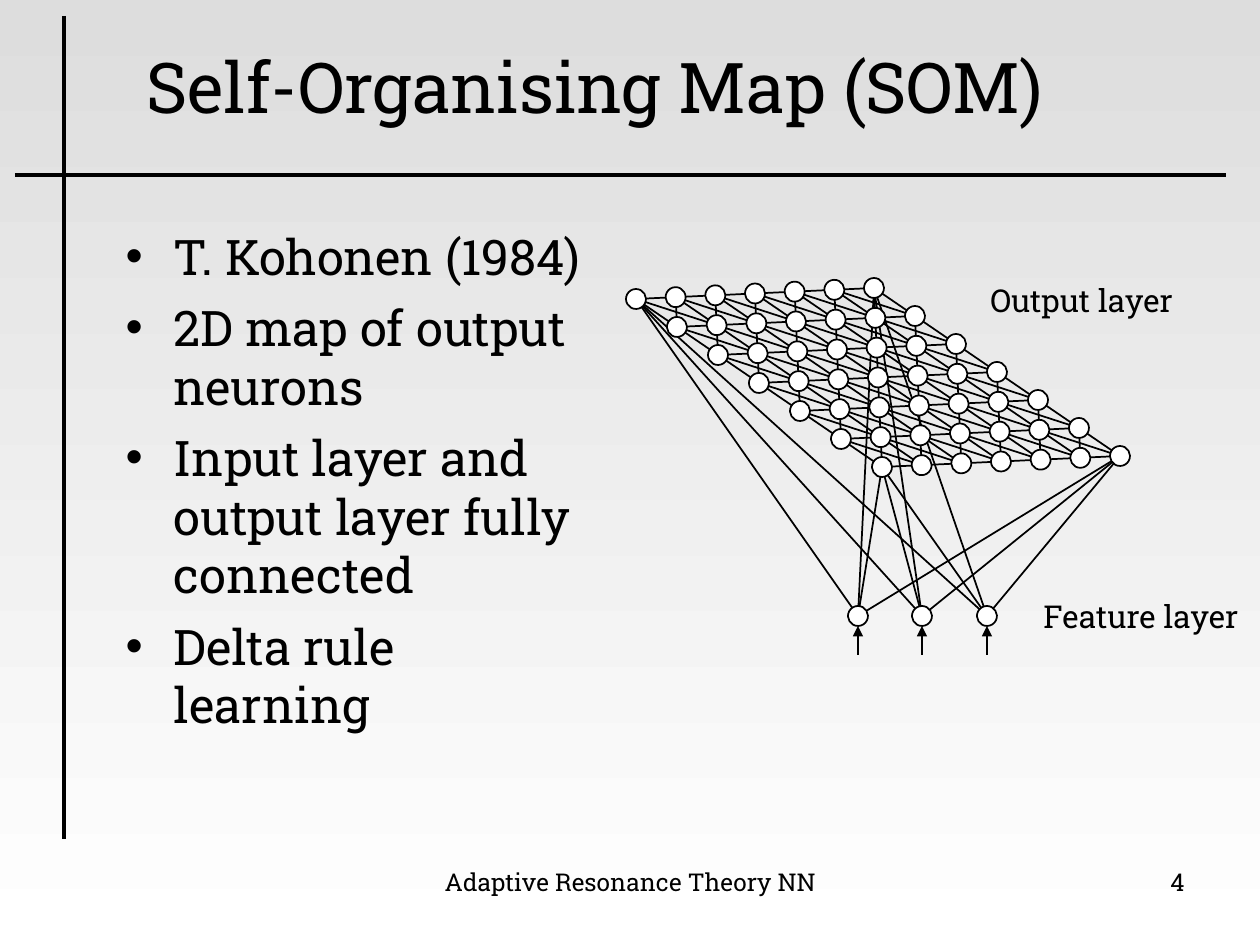
from dataclasses import dataclass
from itertools import product

from lxml.etree import SubElement
from pptx import Presentation
from pptx.dml.color import RGBColor
from pptx.enum.shapes import MSO_CONNECTOR as Connector, MSO_SHAPE as Shape
from pptx.enum.text import MSO_ANCHOR as Anchor, MSO_AUTO_SIZE as AutoSize, PP_ALIGN as Align
from pptx.oxml.ns import qn
from pptx.util import Emu, Pt


@dataclass(frozen=True)
class Theme:
    font: str = "Roboto Slab"
    ink: str = "000000"
    paper: str = "FFFFFF"
    shade: str = "DDDDDD"
    title: int = 40
    body: int = 28
    label: int = 18
    footer: int = 14
    rule: float = 2.25
    link: float = 1
    arrow: float = 0.75


THEME = Theme()
TITLE = ("Self-Organising Map (SOM)", (134, 37, 1091, 97))
BULLETS = [
    "T. Kohonen (1984)",
    "2D map of output neurons",
    "Input layer and output layer fully connected",
    "Delta rule learning",
]
BULLET_BOX = (113, 220, 496, 624)
BULLET_INDENT = 48
LABELS = [
    ("Adaptive Resonance Theory NN", (431, 861, 399, 66), THEME.footer, Align.CENTER, True),
    ("4", (903, 861, 294, 66), THEME.footer, Align.RIGHT, True),
    ("Output layer", (978, 275, 222, 50), THEME.label, Align.LEFT, False),
    ("Feature layer", (1031, 591, 228, 50), THEME.label, Align.LEFT, False),
]
RULES = [((15, 175), (1226, 175)), ((64, 16), (64, 839))]
LAST = 6
MAP_ORIGIN, MAP_END_OF_ROW, MAP_END_OF_COLUMN = (636, 299), (874, 288), (882, 467)
FEATURES = [(858, 616), (922, 616), (987, 616)]
NODE_SIZE = 20
NODE_TILT = 357.5
ARROW_START, ARROW_END = 655, 626


def px(value):
    return Emu(round(value * 914400 / 126))


def color(value):
    return RGBColor.from_string(value)


def place(shape, box):
    shape.left, shape.top, shape.width, shape.height = map(px, box)


def style(paragraph, size):
    for run in paragraph.runs:
        run.font.size = Pt(size)
        run.font.name = THEME.font
        run.font.color.rgb = color(THEME.ink)


def add_line(shapes, start, end, width, arrow=False):
    line = shapes.add_connector(Connector.STRAIGHT, *map(px, (*start, *end)))
    line.line.color.rgb = color(THEME.ink)
    line.line.width = Pt(width)
    if arrow:
        SubElement(line.line._get_or_add_ln(), qn("a:tailEnd"), type="triangle")
    SubElement(line._element.spPr, qn("a:effectLst"))


def add_node(shapes, center):
    x, y = center
    corner = (x - NODE_SIZE / 2, y - NODE_SIZE / 2)
    node = shapes.add_shape(Shape.OVAL, *map(px, (*corner, NODE_SIZE, NODE_SIZE)))
    node.rotation = NODE_TILT
    node.shadow.inherit = False
    node.fill.solid()
    node.fill.fore_color.rgb = color(THEME.paper)
    node.line.color.rgb = color(THEME.ink)
    node.line.width = Pt(THEME.link)


def map_point(row, column):
    return tuple(
        origin + (right - origin) * column / LAST + (down - origin) * row / LAST
        for origin, right, down in zip(MAP_ORIGIN, MAP_END_OF_ROW, MAP_END_OF_COLUMN)
    )


def map_links():
    for i in range(LAST + 1):
        yield (0, i), (LAST, i)
        yield (i, 0), (i, LAST)
    for total in range(1, 2 * LAST):
        low, high = max(0, total - LAST), min(total, LAST)
        yield (low, high), (high, low)
    for offset in range(LAST):
        yield (0, offset), (LAST - offset, LAST)
        if offset:
            yield (offset, 0), (LAST, LAST - offset)


def add_background(slide):
    fill = slide.background.fill
    fill.gradient()
    fill.gradient_angle = 270
    for stop, value in zip(fill.gradient_stops, (THEME.shade, THEME.paper)):
        stop.color.rgb = color(value)


def add_title(slide):
    text, box = TITLE
    title = slide.shapes.title
    place(title, box)
    frame = title.text_frame
    frame.text = text
    frame.auto_size = AutoSize.NONE
    frame.vertical_anchor = Anchor.MIDDLE
    frame.paragraphs[0].alignment = Align.LEFT
    style(frame.paragraphs[0], THEME.title)


def add_bullets(slide):
    body = slide.placeholders[1]
    place(body, BULLET_BOX)
    frame = body.text_frame
    frame.text = "\n".join(BULLETS)
    frame.auto_size = AutoSize.NONE
    for index, paragraph in enumerate(frame.paragraphs):
        paragraph.space_before = Pt(7 if index else 0)
        properties = paragraph._p.get_or_add_pPr()
        properties.set("marL", str(px(BULLET_INDENT)))
        properties.set("indent", str(px(-BULLET_INDENT)))
        bullet_color = SubElement(properties, qn("a:buClr"))
        SubElement(bullet_color, qn("a:srgbClr"), val=THEME.ink)
        SubElement(properties, qn("a:buChar"), char="•")
        style(paragraph, THEME.body)


def add_network(slide):
    corners = [map_point(*corner) for corner in product((0, LAST), repeat=2)]
    for corner, feature in product(corners, FEATURES):
        add_line(slide.shapes, corner, feature, THEME.link)
    output_map = slide.shapes.add_group_shape().shapes
    for start, end in map_links():
        add_line(output_map, map_point(*start), map_point(*end), THEME.link)
    for row, column in product(range(LAST + 1), repeat=2):
        add_node(output_map, map_point(row, column))
    for feature in FEATURES:
        add_node(slide.shapes, feature)
        x = feature[0]
        add_line(slide.shapes, (x, ARROW_START), (x, ARROW_END), THEME.arrow, arrow=True)


def add_labels(slide):
    for text, box, size, alignment, wrap in LABELS:
        frame = slide.shapes.add_textbox(*map(px, box)).text_frame
        frame.text = text
        frame.word_wrap = wrap
        frame.paragraphs[0].alignment = alignment
        style(frame.paragraphs[0], size)


def main():
    presentation = Presentation()
    presentation.slide_width, presentation.slide_height = px(1260), px(945)
    slide = presentation.slides.add_slide(presentation.slide_layouts[1])
    add_background(slide)
    for start, end in RULES:
        add_line(slide.shapes, start, end, THEME.rule)
    add_title(slide)
    add_bullets(slide)
    add_network(slide)
    add_labels(slide)
    presentation.save("out.pptx")


if __name__ == "__main__":
    main()
